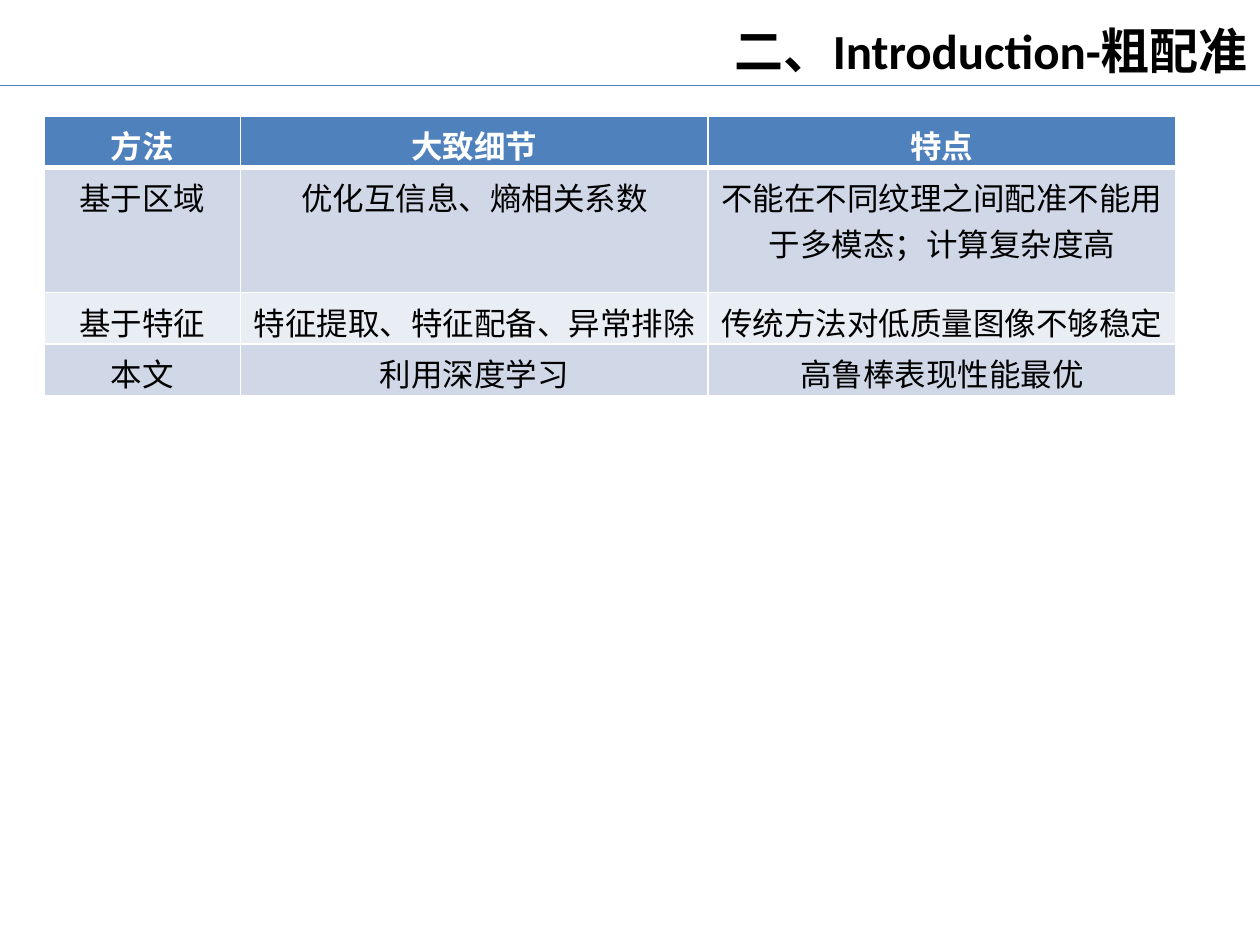
from lxml import etree
from pptx import Presentation
from pptx.dml.color import RGBColor
from pptx.enum.shapes import MSO_CONNECTOR
from pptx.enum.text import MSO_AUTO_SIZE, PP_ALIGN
from pptx.oxml.ns import qn
from pptx.util import Inches, Pt

STRAIGHT = MSO_CONNECTOR.STRAIGHT
GROW = MSO_AUTO_SIZE.SHAPE_TO_FIT_TEXT
CENTER, RIGHT = PP_ALIGN.CENTER, PP_ALIGN.RIGHT
BLACK = RGBColor(0x00, 0x00, 0x00)
WHITE = RGBColor(0xFF, 0xFF, 0xFF)
RULE_BLUE = RGBColor(0x4B, 0x7E, 0xBC)
HEADER_BLUE = RGBColor(0x4F, 0x81, 0xBD)
BAND_DARK = RGBColor(0xD0, 0xD8, 0xE8)
BAND_LIGHT = RGBColor(0xE9, 0xED, 0xF4)

COLUMN_WIDTHS = (1.56, 3.71, 3.71)
ROW_HEIGHTS = (0.41, 0.99, 0.41, 0.41)
METHODS = (
    ("方法", "大致细节", "特点"),
    ("基于区域", "优化互信息、熵相关系数", "不能在不同纹理之间配准不能用于多模态；计算复杂度高"),
    ("基于特征", "特征提取、特征配备、异常排除", "传统方法对低质量图像不够稳定"),
    ("本文", "利用深度学习", "高鲁棒表现性能最优"),
)


class SlideBuilder:
    """Draws styled elements on the current slide."""

    font_name = "Calibri"

    def __init__(self, page):
        self.page = page

    def style(self, para, size, color, bold, align):
        para.alignment = align
        for span in para.runs:
            span.font.name = self.font_name
            span.font.size = Pt(size)
            span.font.bold = bold
            span.font.color.rgb = color

    def rule(self, left, top, right):
        line = self.page.shapes.add_connector(
            STRAIGHT, Inches(left), Inches(top), Inches(right), Inches(top))
        line.line.color.rgb = RULE_BLUE
        line.line.width = Pt(0.75)
        etree.SubElement(line.element.spPr, qn("a:effectLst"))

    def title(self, text, left, top, width, height):
        box = self.page.shapes.add_textbox(
            Inches(left), Inches(top), Inches(width), Inches(height))
        frame = box.text_frame
        frame.word_wrap = True
        frame.auto_size = GROW
        frame.text = text
        self.style(frame.paragraphs[0], 28, BLACK, True, RIGHT)

    def border(self, cell, side, width):
        edge = etree.SubElement(cell._tc.get_or_add_tcPr(), qn(f"a:ln{side}"), w=str(Pt(width)))
        fill = etree.SubElement(edge, qn("a:solidFill"))
        etree.SubElement(fill, qn("a:srgbClr"), val=str(WHITE))

    def table(self, rows, left, top, widths, heights):
        table = self.page.shapes.add_table(
            len(rows), len(widths), Inches(left), Inches(top),
            Inches(sum(widths)), Inches(sum(heights))).table
        for column, width in zip(table.columns, widths):
            column.width = Inches(width)
        for index, (texts, height) in enumerate(zip(rows, heights)):
            table.rows[index].height = Inches(height)
            header = index == 0
            band = BAND_DARK if index % 2 else BAND_LIGHT
            for cell, text in zip(table.rows[index].cells, texts):
                cell.text = text
                self.style(cell.text_frame.paragraphs[0], 18,
                           WHITE if header else BLACK, header, CENTER)
                for side in "LRTB":
                    thick = (header and side == "B") or (index == 1 and side == "T")
                    self.border(cell, side, 3 if thick else 1)
                cell.fill.solid()
                cell.fill.fore_color.rgb = HEADER_BLUE if header else band


def main():
    deck = Presentation()
    deck.slide_width, deck.slide_height = Inches(10), Inches(7.5)
    builder = SlideBuilder(deck.slides.add_slide(deck.slide_layouts[6]))
    builder.rule(0, 0.68, 10)
    builder.title("二、Introduction-粗配准", 5.31, 0.11, 4.69, 0.57)
    builder.table(METHODS, 0.35, 0.92, COLUMN_WIDTHS, ROW_HEIGHTS)
    deck.save("out.pptx")


if __name__ == "__main__":
    main()
